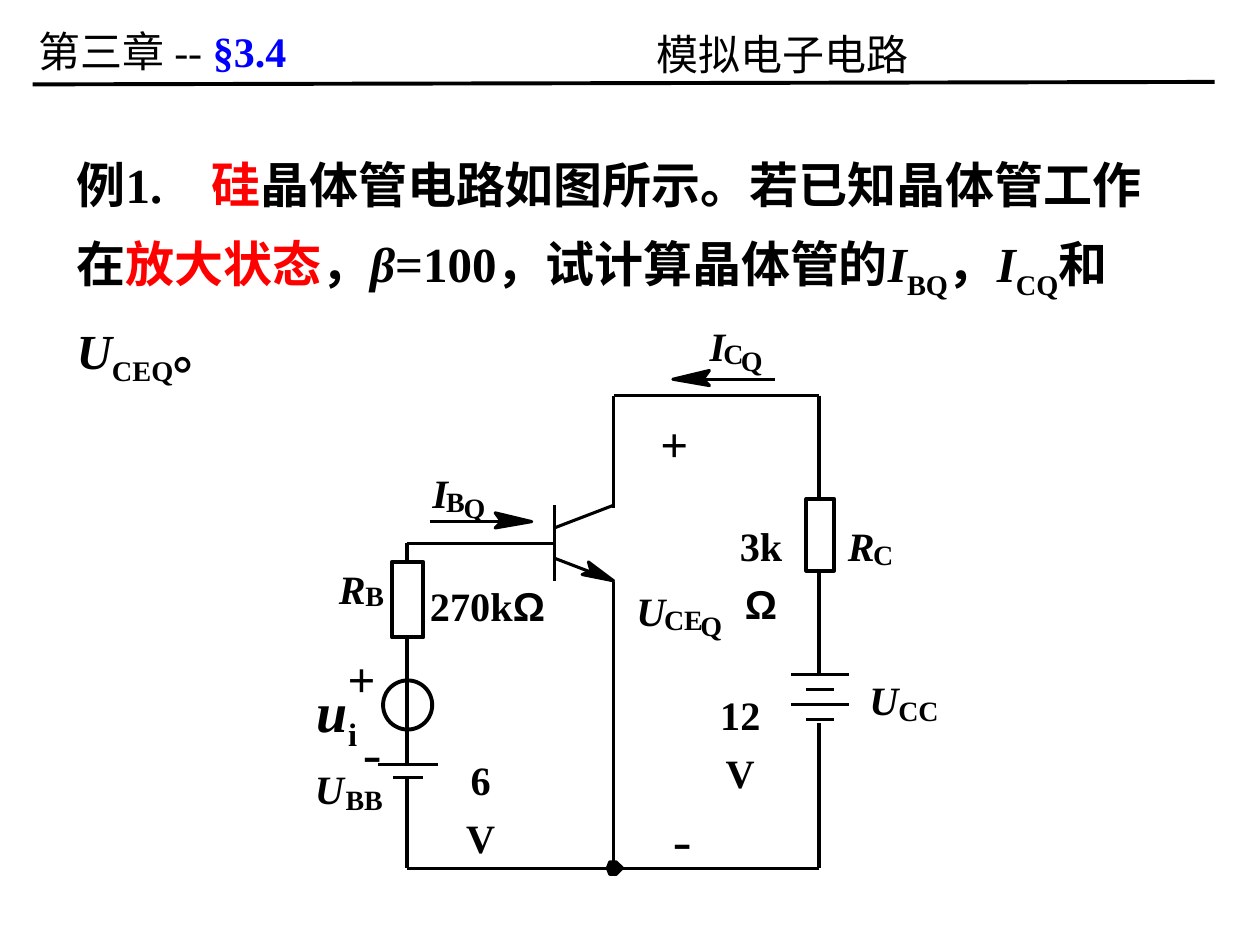
from dataclasses import dataclass

from lxml import etree
from pptx import Presentation
from pptx import util as u
from pptx.dml.color import RGBColor
from pptx.enum import shapes, text
from pptx.oxml import ns


@dataclass(frozen=True)
class Theme:
    """Colours, fonts, type sizes and line widths of the slide."""
    ink: str = "000000"
    paper: str = "FFFFFF"
    key: str = "FF0000"
    section: str = "0000FF"
    serif: str = "Times New Roman"
    sans: str = "Arial"
    chinese: str = "Noto Sans CJK SC"
    body: int = 28
    header: int = 24
    symbol: int = 23
    subscript: int = 16
    sign: int = 32
    wire: float = 1.75
    outline: float = 2.25


@dataclass(frozen=True)
class Box:
    """A region of the page in inches."""
    left: float
    top: float
    width: float
    height: float

    def point(self, x, y):
        """Return the page position of a point given relative to the box."""
        return u.Inches(self.left + x), u.Inches(self.top + y)

    def inner(self, x, y, width, height):
        """Return a box placed relative to this one."""
        return Box(self.left + x, self.top + y, width, height)

    def frame(self):
        """Return left, top, width and height as lengths."""
        return [u.Inches(n) for n in (self.left, self.top, self.width, self.height)]


THEME = Theme()


def add_span(para, words, size, color=THEME.ink, font=THEME.serif,
             bold=True, italic=False, lowered=False):
    """Add one formatted run to a paragraph."""
    span = para.add_run()
    span.text = words
    span.font.size = u.Pt(size)
    span.font.name = font
    span.font.bold = bold
    span.font.italic = italic
    span.font.color.rgb = RGBColor.from_string(color)
    props = span.font._element
    etree.SubElement(props, ns.qn("a:ea")).set("typeface", THEME.chinese)
    if lowered:
        props.set("baseline", "-25000")


def add_text(page, box, spans, spacing=1.2, wrap=False, centred=True, inset=(0, 0)):
    """Place a text box holding one paragraph of spans and return the paragraph."""
    shape = page.shapes.add_textbox(*box.frame())
    frame = shape.text_frame
    frame.word_wrap = wrap
    frame.auto_size = text.MSO_AUTO_SIZE.SHAPE_TO_FIT_TEXT
    frame.margin_left = frame.margin_right = u.Inches(inset[0])
    frame.margin_top = frame.margin_bottom = u.Inches(inset[1])
    para = frame.paragraphs[0]
    para.line_spacing = spacing
    para.alignment = text.PP_ALIGN.CENTER if centred else text.PP_ALIGN.LEFT
    for words, size, style in spans:
        add_span(para, words, size, **style)
    return para


def add_line(page, box, start, end, width=THEME.wire):
    """Draw a straight line between two points of the box."""
    line = page.shapes.add_connector(
        shapes.MSO_CONNECTOR.STRAIGHT, *box.point(*start), *box.point(*end))
    line.line.color.rgb = RGBColor.from_string(THEME.ink)
    line.line.width = u.Pt(width)
    etree.SubElement(line._element.spPr, ns.qn("a:effectLst"))


def finish(shape, fill, width):
    """Give a shape its fill and black outline."""
    shape.shadow.inherit = False
    if fill:
        shape.fill.solid()
        shape.fill.fore_color.rgb = RGBColor.from_string(fill)
    else:
        shape.fill.background()
    shape.line.color.rgb = RGBColor.from_string(THEME.ink)
    shape.line.width = u.Pt(width)


def add_outline(page, box, points):
    """Draw a filled polygon through points of the box."""
    first, *rest = [box.point(*point) for point in points]
    builder = page.shapes.build_freeform(*first, scale=1.0)
    builder.add_line_segments(rest, close=True)
    finish(builder.convert_to_shape(), THEME.ink, THEME.wire)


def add_preset(page, box, kind, fill):
    """Draw a preset shape filling the box."""
    finish(page.shapes.add_shape(kind, *box.frame()), fill, THEME.outline)


def add_current(page, box, tail, tip, y):
    """Draw a horizontal current arrow with a barbed head."""
    way = 1 if tip > tail else -1
    back, notch = tip - 0.29 * way, tip - 0.24 * way
    add_line(page, box, (tail, y), (tip - 0.11 * way, y))
    add_outline(page, box, [(back, y - 0.07), (notch, y), (back, y + 0.05), (tip, y)])


def add_plates(page, box, x, y, gap, pairs, long, short):
    """Draw the alternating long and short plates of a battery."""
    for index in range(2 * pairs):
        half = short if index % 2 else long
        level = y + index * gap
        add_line(page, box, (x - half, level), (x + half, level))


def draw_header(page, box):
    """Place the chapter, the course title and the rule below them."""
    add_line(page, box, (0.26, 0.67), (9.64, 0.65), THEME.outline)
    plain = dict(font=THEME.chinese, bold=False)
    chapter = [("第三章 ", THEME.header, plain),
               ("-- ", THEME.header, dict(bold=False)),
               ("§3.4", THEME.header, dict(color=THEME.section))]
    course = [("模拟电子电路", THEME.header, plain)]
    for place, spans in (((0.21, 0.07, 2.45, 0.58), chapter),
                         ((5.11, 0.1, 2.2, 0.58), course)):
        add_text(page, box.inner(*place), spans, centred=False, inset=(0.1, 0.05))


def draw_question(page, box):
    """Place the wording of the exercise."""
    key, italic, low = dict(color=THEME.key), dict(italic=True), dict(lowered=True)
    parts = [("例1.\t", {}), ("硅", key), ("晶体管电路如图所示。若已知晶体管工作在", {}),
             ("放大状态", key), ("，", {}), ("β", italic), ("=100，试计算晶体管的", {}),
             ("I", italic), ("BQ", low), ("，", {}), ("I", italic), ("CQ", low),
             ("和", {}), ("U", italic), ("CEQ", low), ("。", {})]
    spans = [(words, THEME.body, style) for words, style in parts]
    para = add_text(page, box, spans, 1.3, True, False, (0.1, 0.05))
    stops = etree.SubElement(para._p.get_or_add_pPr(), ns.qn("a:tabLst"))
    etree.SubElement(stops, ns.qn("a:tab"), pos=str(u.Inches(1.07)), algn="l")


def draw_circuit(page, box):
    """Draw the wires and parts of the amplifier."""
    base, emitter, supply = 1.23, 2.87, 4.5
    top, ground = 1.14, 4.89
    wires = [((emitter, 2.62), (emitter, ground)), ((emitter, top), (emitter, 2.03)),
             ((supply, top), (emitter, top)), ((supply, ground), (base, ground)),
             ((supply, top), (supply, 3.35)), ((supply, 3.74), (supply, ground)),
             ((base, 2.31), (2.39, 2.31)), ((base, 2.31), (base, 4.07)),
             ((base, 4.17), (base, ground)), ((2.4, 2.01), (2.4, 2.61)),
             ((2.4, 2.19), (emitter, 2.01)), ((2.4, 2.43), (emitter, 2.61))]
    for start, end in wires:
        add_line(page, box, start, end)
    add_outline(page, box, [(2.62, 2.56), (2.69, 2.53), (2.67, 2.46), (2.87, 2.61)])
    add_outline(page, box, [(2.82, 4.89), (2.84, 4.84), (2.89, 4.84),
                            (2.94, 4.89), (2.89, 4.94), (2.84, 4.94)])
    for place in ((1.11, 2.46, 0.25, 0.6), (4.4, 1.96, 0.22, 0.57)):
        add_preset(page, box.inner(*place), shapes.MSO_SHAPE.RECTANGLE, THEME.paper)
    add_preset(page, box.inner(1.04, 3.4, 0.39, 0.39), shapes.MSO_SHAPE.OVAL, None)
    add_plates(page, box, 1.24, 4.07, 0.1, 1, 0.24, 0.12)
    add_plates(page, box, 4.51, 3.35, 0.12, 2, 0.23, 0.11)
    add_current(page, box, 4.15, 3.34, 1.01)
    add_current(page, box, 1.41, 2.22, 2.14)


def draw_labels(page, box):
    """Place the symbols, values and polarity signs of the circuit."""
    italic = dict(italic=True)
    symbols = [("I", 3.63, 0.47, 0.13), ("U", 3.05, 2.58, 0.23), ("R", 0.69, 2.4, 0.21),
               ("U", 0.5, 3.99, 0.23), ("I", 1.43, 1.64, 0.13), ("U", 4.9, 3.28, 0.23),
               ("R", 4.73, 2.06, 0.21)]
    subscripts = [("C", 3.74, 0.62, 0.16), ("Q", 3.88, 0.67, 0.17), ("CE", 3.27, 2.73, 0.31),
                  ("Q", 3.56, 2.78, 0.17), ("B", 0.9, 2.54, 0.15), ("BB", 0.74, 4.16, 0.3),
                  ("B", 1.54, 1.79, 0.15), ("Q", 1.68, 1.84, 0.17), ("CC", 5.13, 3.45, 0.32),
                  ("C", 4.93, 2.21, 0.16)]
    voltages = [("6V", 1.62, 3.92, 0.39), ("12V", 3.6, 3.4, 0.55)]
    pluses = [("+", 3.24, 1.19, 0.22), ("+", 0.76, 3.05, 0.22)]
    minuses = [("-", 3.34, 4.28, 0.15), ("-", 0.88, 3.59, 0.15)]
    for labels, size, height, style in ((symbols, THEME.symbol, 0.46, italic),
                                        (subscripts, THEME.subscript, 0.32, {}),
                                        (voltages, THEME.symbol, 0.46, {}),
                                        (pluses, THEME.body, 0.56, {}),
                                        (minuses, THEME.sign, 0.64, dict(bold=False))):
        for words, x, y, width in labels:
            add_text(page, box.inner(x, y, width, height), [(words, size, style)])
    for words, x, y, width in (("270k", 1.41, 2.54, 0.92), ("3k", 3.75, 2.06, 0.58)):
        spans = [(words, THEME.symbol, {}), ("Ω", THEME.symbol, dict(font=THEME.sans))]
        add_text(page, box.inner(x, y, width, 0.46), spans, wrap=True)
    source = [("u", THEME.sign, italic), ("i", THEME.sign, dict(lowered=True))]
    add_text(page, box.inner(0.13, 3.25, 1.09, 0.73), source, wrap=True)


def main():
    """Build the slide and save the deck."""
    deck = Presentation()
    deck.slide_width, deck.slide_height = u.Inches(10), u.Inches(7.5)
    page = deck.slides.add_slide(deck.slide_layouts[6])
    circuit = Box(2, 2, 6, 5)
    draw_question(page, Box(0.51, 1.04, 8.98, 2.09))
    draw_circuit(page, circuit)
    draw_labels(page, circuit)
    draw_header(page, Box(0, 0, 10, 0.7))
    deck.save("out.pptx")


if __name__ == "__main__":
    main()
